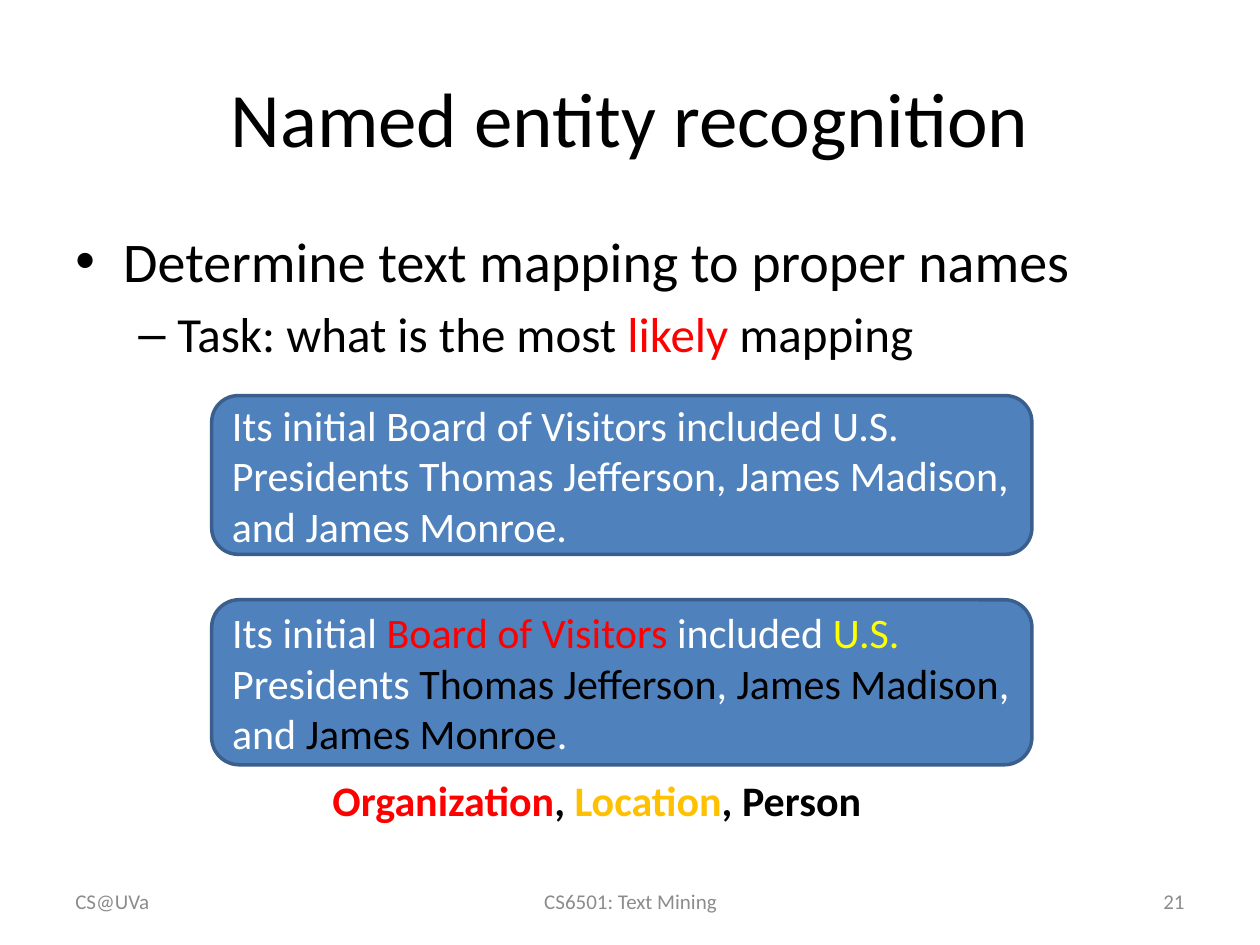
from lxml.etree import SubElement
from pptx import Presentation
from pptx.dml.color import RGBColor
from pptx.enum.shapes import MSO_SHAPE
from pptx.enum.text import MSO_ANCHOR, PP_ALIGN
from pptx.oxml.ns import qn
from pptx.util import Inches, Pt

COLORS = {
    "black": "000000", "white": "FFFFFF", "red": "FF0000", "yellow": "FFFF00",
    "gold": "FFC000", "gray": "8C8C8C", "blue": "4F81BD", "edge": "3A5F8C",
}
LEFT, MID, RIGHT = PP_ALIGN.LEFT, PP_ALIGN.CENTER, PP_ALIGN.RIGHT

TITLE = [("Named entity recognition", "black")]
# mark, text indent, hanging indent, size, space before, runs
POINTS = [
    ("•", 0.38, 0.38, 32, 0, [("Determine text mapping to proper names", "black")]),
    ("–", 0.81, 0.31, 28, 5.6, [
        ("Task: what is the most ", "black"), ("likely ", "red"), ("mapping", "black")]),
]
# top, height, runs
CARDS = [
    (3.14, 1.26, [("Its initial Board of Visitors included U.S. Presidents "
                   "Thomas Jefferson, James Madison, and James Monroe.", "white")]),
    (4.76, 1.31, [
        ("Its initial ", "white"), ("Board of Visitors ", "red"),
        ("included ", "white"), ("U.S.", "yellow"), (" Presidents ", "white"),
        ("Thomas Jefferson", "black"), (", ", "white"),
        ("James Madison", "black"), (", and ", "white"),
        ("James Monroe", "black"), (".", "white")]),
]
LEGEND = [("Organization", "red"), (", ", "black"), ("Location", "gold"),
          (", Person", "black")]
# left, width, alignment, text
FOOTER = [
    (0.5, 2.33, LEFT, "CS@UVa"),
    (3.42, 3.17, MID, "CS6501: Text Mining"),
    (7.17, 2.33, RIGHT, "21"),
]


def color(name):
    return RGBColor.from_string(COLORS[name])


def write(para, runs, size, align=LEFT, bold=False):
    para.alignment = align
    for text, shade in runs:
        run = para.add_run()
        run.text = text
        font = run.font
        font.name, font.size, font.bold = "Calibri", Pt(size), bold
        font.color.rgb = color(shade)


def add_box(slide, left, top, width, height, anchor=MSO_ANCHOR.MIDDLE):
    box = slide.shapes.add_textbox(*map(Inches, (left, top, width, height)))
    frame = box.text_frame
    frame.word_wrap = True
    frame.vertical_anchor = anchor
    return frame


def add_points(slide):
    frame = add_box(slide, 0.5, 1.75, 9, 1.3, MSO_ANCHOR.TOP)
    for i, (mark, indent, hang, size, gap, runs) in enumerate(POINTS):
        para = frame.add_paragraph() if i else frame.paragraphs[0]
        props = para._p.get_or_add_pPr()
        props.set("marL", str(Inches(indent)))
        props.set("indent", str(-Inches(hang)))
        if gap:
            para.space_before = Pt(gap)
        SubElement(props, qn("a:buFont"), typeface="Arial")
        SubElement(props, qn("a:buChar"), char=mark)
        para.level = i
        write(para, runs, size)


def add_card(slide, top, height, runs):
    card = slide.shapes.add_shape(
        MSO_SHAPE.ROUNDED_RECTANGLE, *map(Inches, (1.68, top, 6.51, height)))
    card.shadow.inherit = False
    card.fill.solid()
    card.fill.fore_color.rgb = color("blue")
    card.line.color.rgb = color("edge")
    card.line.width = Pt(2)
    frame = card.text_frame
    frame.word_wrap = True
    frame.vertical_anchor = MSO_ANCHOR.MIDDLE
    write(frame.paragraphs[0], runs, 24)


def main():
    deck = Presentation()
    deck.slide_width, deck.slide_height = Inches(10), Inches(7.5)
    slide = deck.slides.add_slide(deck.slide_layouts[6])

    title = add_box(slide, 0.5, 0.3, 9, 1.25)
    write(title.paragraphs[0], TITLE, 44, MID)
    add_points(slide)
    for card in CARDS:
        add_card(slide, *card)
    legend = add_box(slide, 2.54, 6.1, 4.79, 0.5, MSO_ANCHOR.TOP)
    write(legend.paragraphs[0], LEGEND, 24, bold=True)
    for left, width, align, text in FOOTER:
        foot = add_box(slide, left, 6.95, width, 0.4)
        write(foot.paragraphs[0], [(text, "gray")], 12, align)

    deck.save("out.pptx")


if __name__ == "__main__":
    main()
